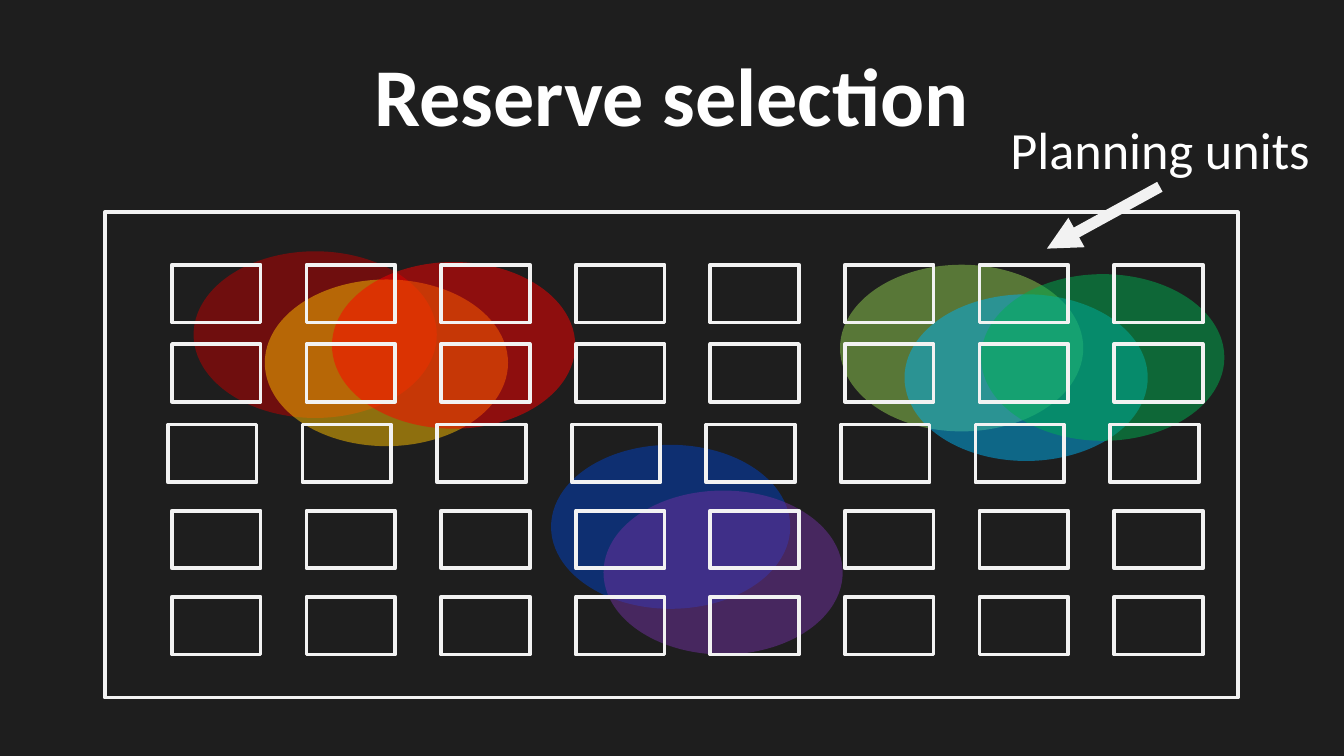
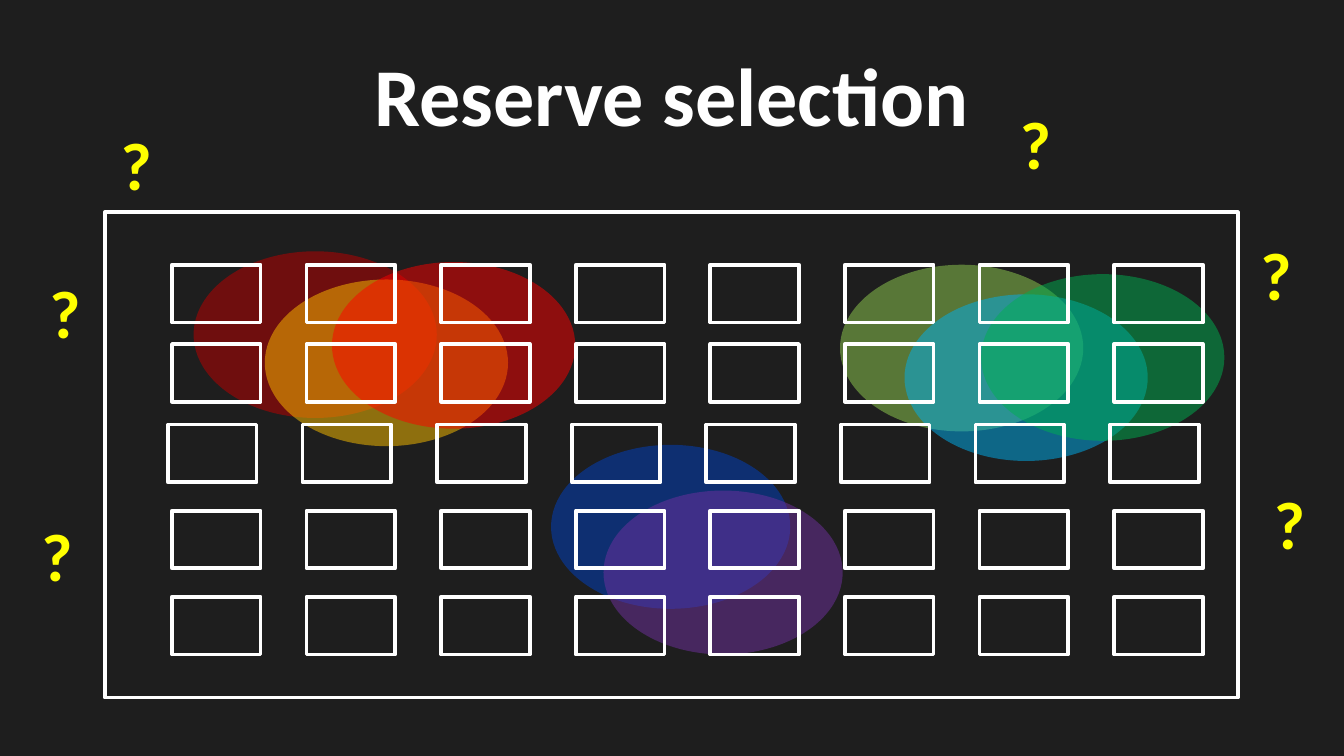
import pptx
import pptx.util
import pptx.dml.color
import pptx.enum.shapes
import pptx.enum.text
import pptx.oxml
import pptx.oxml.ns
from lxml import etree

Inches = pptx.util.Inches
SHAPE = pptx.enum.shapes.MSO_SHAPE
ALIGN = pptx.enum.text.PP_ALIGN
ANCHOR = pptx.enum.text.MSO_ANCHOR

# Shared look
FONT = "Calibri"
DARK, WHITE, PALE, YELLOW = "1E1E1E", "FFFFFF", "F2F2F2", "FFFF00"

# Species ranges: left, top, colour
LARGE_RANGE = (1.81, 1.24)
SMALL_RANGE = (1.78, 1.22)
BLUE_RANGE = (4.1, 3.31, "0041C4")
PURPLE_RANGE = (4.49, 3.65, "7030A0")
LARGE_RANGES = [
    (1.44, 1.87, "C00000"), (1.97, 2.08, "FFC000"), (2.47, 1.95, "FF0000"),
    (6.25, 1.97, "92D050"), (6.73, 2.19, "00B0F0"), (7.3, 2.04, "00B050"),
]

# Planning units: left and top of each row
UNIT_ROWS = [(1.28, 1.97), (1.28, 2.56), (1.25, 3.16), (1.28, 3.8), (1.28, 4.44)]
UNIT_COLUMNS = 8
UNIT_PITCH = 7.01 / (UNIT_COLUMNS - 1)
UNIT_SIZE = (0.66, 0.43)

QUESTION_SPOTS = [(0.8, 0.87), (0.27, 1.97), (0.21, 3.78),
                  (7.49, 0.71), (9.28, 1.69), (9.38, 3.54)]


def paint(color_format, color):
    color_format.rgb = pptx.dml.color.RGBColor.from_string(color)


def place(shape, left, top, width, height):
    shape.left, shape.top = Inches(left), Inches(top)
    shape.width, shape.height = Inches(width), Inches(height)


def write(shape, text, size, color=WHITE, bold=False, align=ALIGN.LEFT,
          anchor=ANCHOR.TOP, wrap=False):
    frame = shape.text_frame
    frame.text = text
    frame.word_wrap = wrap
    frame.auto_size = pptx.enum.text.MSO_AUTO_SIZE.NONE
    frame.vertical_anchor = anchor
    paragraph = frame.paragraphs[0]
    paragraph.alignment = align
    font = paragraph.runs[0].font
    font.name, font.size, font.bold = FONT, pptx.util.Pt(size), bold
    paint(font.color, color)


def add_title(slide, text):
    title = slide.shapes.title
    place(title, 0.5, 0.23, 9, 0.94)
    write(title, text, 44, bold=True, align=ALIGN.CENTER,
          anchor=ANCHOR.MIDDLE, wrap=True)


def add_label(slide, left, top, width, height, text, size, **style):
    label = slide.shapes.add_textbox(
        Inches(left), Inches(top), Inches(width), Inches(height))
    write(label, text, size, **style)


def add_range(slide, left, top, color, size):
    """Half-transparent ellipse of one species' range."""
    ellipse = slide.shapes.add_shape(
        SHAPE.OVAL, Inches(left), Inches(top), Inches(size[0]), Inches(size[1]))
    ellipse.shadow.inherit = False
    ellipse.line.fill.background()
    ellipse.fill.solid()
    paint(ellipse.fill.fore_color, color)
    swatch = ellipse._element.spPr.find(".//" + pptx.oxml.ns.qn("a:srgbClr"))
    etree.SubElement(swatch, pptx.oxml.ns.qn("a:alpha"), val="50000")


def add_outline(slide, left, top, width, height, color):
    box = slide.shapes.add_shape(
        SHAPE.RECTANGLE, Inches(left), Inches(top), Inches(width), Inches(height))
    box.shadow.inherit = False
    box.fill.background()
    paint(box.line.color, color)
    box.line.width = pptx.util.Pt(2)


def add_arrow(slide, start, end, color, width):
    arrow = slide.shapes.add_connector(
        pptx.enum.shapes.MSO_CONNECTOR.STRAIGHT,
        Inches(start[0]), Inches(start[1]), Inches(end[0]), Inches(end[1]))
    paint(arrow.line.color, color)
    arrow.line.width = pptx.util.Pt(width)
    etree.SubElement(arrow.line._get_or_add_ln(),
                     pptx.oxml.ns.qn("a:tailEnd"), type="triangle")
    etree.SubElement(arrow._element.spPr, pptx.oxml.ns.qn("a:effectLst"))


def add_reserve_slide(prs, outline):
    """Title, region, species ranges and the grid of planning units."""
    slide = prs.slides.add_slide(prs.slide_layouts[5])
    add_title(slide, "Reserve selection")
    add_range(slide, *BLUE_RANGE, SMALL_RANGE)
    add_outline(slide, 0.78, 1.58, 8.43, 3.61, outline)
    add_range(slide, *PURPLE_RANGE, SMALL_RANGE)
    for species in LARGE_RANGES:
        add_range(slide, *species, LARGE_RANGE)
    for left, top in UNIT_ROWS:
        for column in range(UNIT_COLUMNS):
            add_outline(slide, left + column * UNIT_PITCH, top, *UNIT_SIZE, outline)
    return slide


def main():
    prs = pptx.Presentation()
    # Widescreen, 16:9
    prs.slide_width = Inches(10)
    prs.slide_height = Inches(10 * 9 / 16)
    backdrop = prs.slide_master.background.fill
    backdrop.solid()
    paint(backdrop.fore_color, DARK)

    # Slide 1: what the planning units are
    units_slide = add_reserve_slide(prs, PALE)
    add_label(units_slide, 7.42, 0.82, 2.42, 0.57, "Planning units", 28)
    add_arrow(units_slide, (8.63, 1.39), (7.79, 1.85), PALE, 6)

    # Slide 2: which units to choose
    choice_slide = add_reserve_slide(prs, WHITE)
    for left, top in QUESTION_SPOTS:
        add_label(choice_slide, left, top, 0.43, 0.7, "?", 36,
                  color=YELLOW, bold=True)

    prs.save("out.pptx")


if __name__ == "__main__":
    main()
